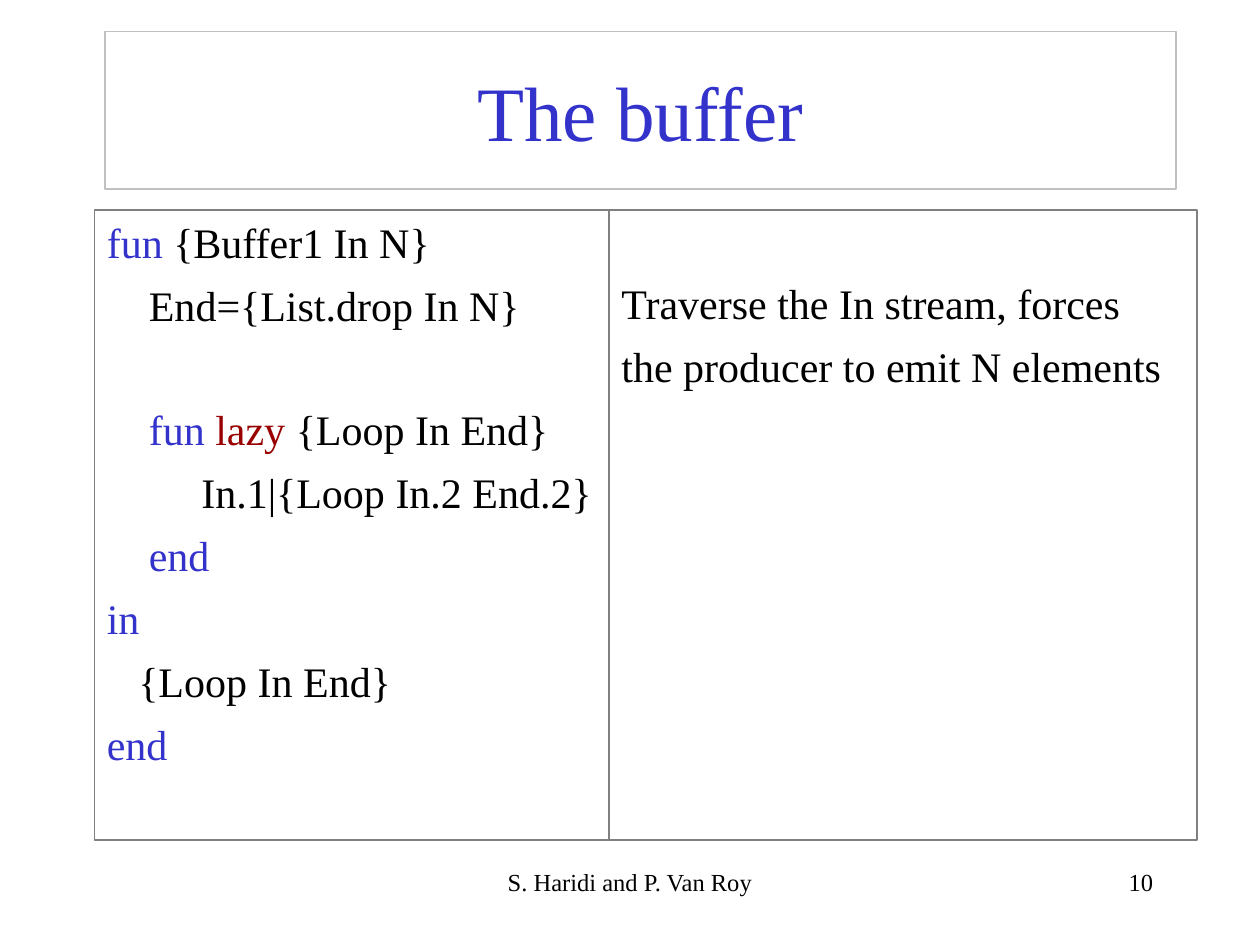
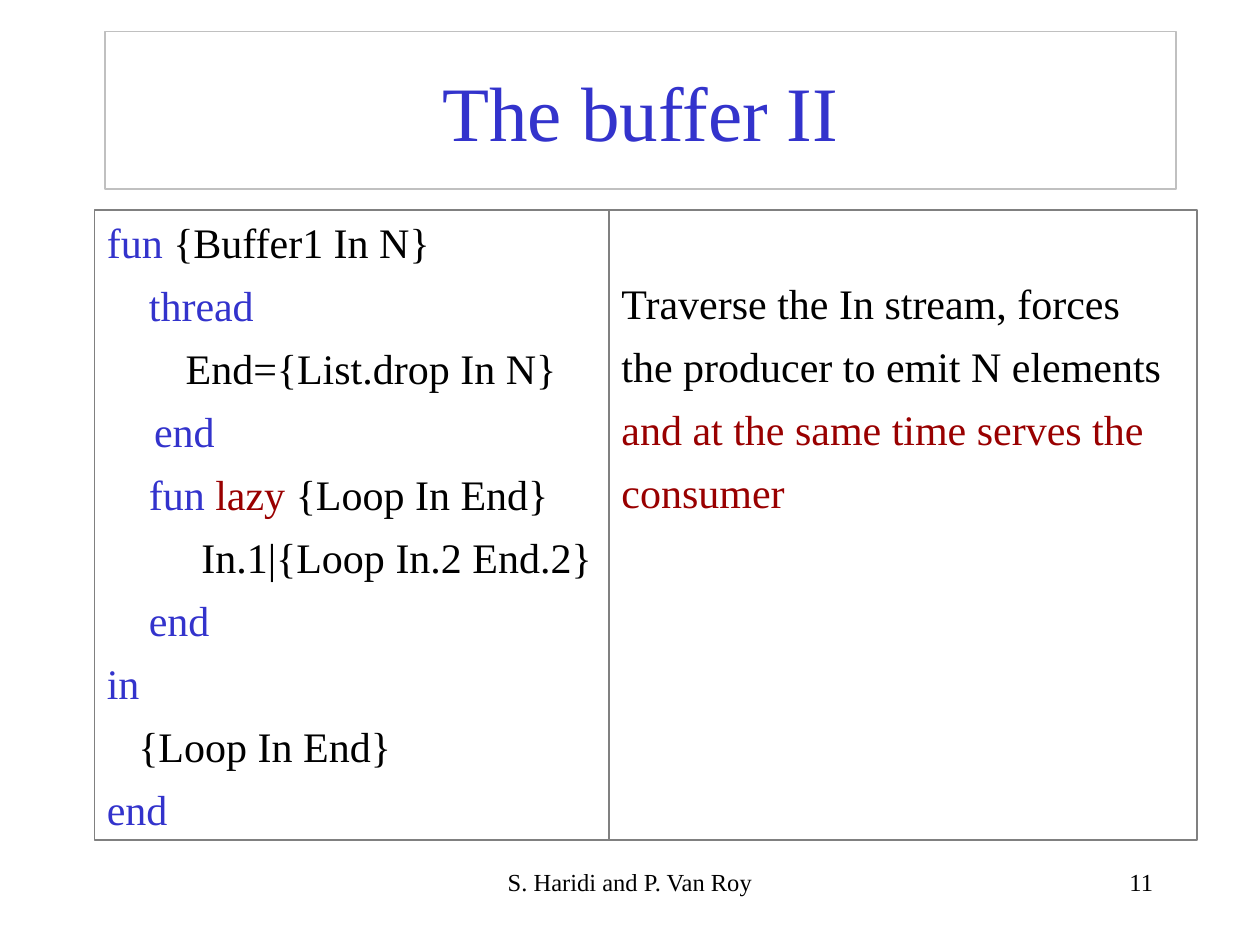
from itertools import groupby
from typing import NamedTuple

from pptx import Presentation
from pptx.dml.color import RGBColor
from pptx.enum.shapes import MSO_SHAPE as Form
from pptx.enum.text import MSO_ANCHOR as Anchor, PP_ALIGN as Align
from pptx.util import Inches, Pt

BLUE = RGBColor(0x33, 0x33, 0xCC)
RED = RGBColor(0x99, 0x00, 0x00)
BLACK = RGBColor(0x00, 0x00, 0x00)
GRAY = RGBColor(0x80, 0x80, 0x80)
SILVER = RGBColor(0xC0, 0xC0, 0xC0)

FONT = "Times New Roman"
WIDE, HIGH = Inches(10), Inches(7.5)
COLS, ROWS = 120, 90
CODE = 24
SPACE = CODE / 4
LEAD = 7.2
PITCH = 34.8
HUES = {"fun": BLUE, "thread": BLUE, "end": BLUE, "in": BLUE, "lazy": RED}


class Box(NamedTuple):
    col: int
    row: int
    cols: int
    rows: int

    def place(self) -> tuple[int, int, int, int]:
        return (WIDE * self.col // COLS, HIGH * self.row // ROWS,
                WIDE * self.cols // COLS, HIGH * self.rows // ROWS)


class Line(NamedTuple):
    text: str
    indent: float = 0
    skip: int = 0
    hue: RGBColor = BLACK


class Page(NamedTuple):
    title: str
    code: list[Line]
    notes: list[Line]
    number: int


HEAD = Box(10, 3, 102, 15)
LEFT = Box(9, 20, 49, 60)
RIGHT = Box(58, 20, 56, 60)
FOOT = Box(41, 82, 38, 6)
COUNT = Box(86, 82, 25, 6)

START = Line("fun {Buffer1 In N}")
DROP = "End={List.drop In N}"
LAZY = Line("fun lazy {Loop In End}", 4)
LOOP = [
    Line("In.1|{Loop In.2 End.2}", 9),
    Line("end", 4),
    Line("in"),
    Line("{Loop In End}", 3),
    Line("end"),
]
FORCE = [
    Line("Traverse the In stream, forces"),
    Line("the producer to emit N elements"),
]
SERVE = [
    Line("and at the same time serves the", hue=RED),
    Line("consumer", hue=RED),
]
PAGES = [
    Page("The buffer",
         [START, Line(DROP, 4), LAZY._replace(skip=1), *LOOP],
         FORCE, 10),
    Page("The buffer II",
         [START, Line("thread", 4), Line(DROP, 7.5), Line("end", 4.5),
          LAZY, *LOOP],
         FORCE + SERVE, 11),
]


def style(run, size: float, hue: RGBColor) -> None:
    run.font.name = FONT
    run.font.size = Pt(size)
    run.font.color.rgb = hue


def frame(shape, hue: RGBColor) -> None:
    shape.fill.background()
    shape.line.color.rgb = hue
    shape.line.width = Pt(0.75)


def label(shape, text: str, size: float, hue: RGBColor, align: Align) -> None:
    shape.text_frame.text = text
    shape.text_frame.word_wrap = True
    para = shape.text_frame.paragraphs[0]
    para.alignment = align
    style(para.runs[0], size, hue)


def head(slide, text: str) -> None:
    title = slide.shapes.title
    title.left, title.top, title.width, title.height = HEAD.place()
    frame(title, SILVER)
    label(title, text, 44, BLUE, Align.CENTER)
    title.text_frame.vertical_anchor = Anchor.MIDDLE


def write(para, line: Line) -> None:
    words = [word + " " for word in line.text.split()]
    words[-1] = words[-1].rstrip()
    for hue, group in groupby(words, lambda w: HUES.get(w.strip(), line.hue)):
        run = para.add_run()
        run.text = "".join(group)
        style(run, CODE, hue)


def panel(slide, box: Box, lines: list[Line], drop: int = 0) -> None:
    shape = slide.shapes.add_shape(Form.RECTANGLE, *box.place())
    shape.shadow.inherit = False
    frame(shape, GRAY)
    body = shape.text_frame
    body.word_wrap = True
    body.vertical_anchor = Anchor.TOP
    body.margin_top = Inches(0.05) + Pt(drop * PITCH)
    for index, line in enumerate(lines):
        para = body.add_paragraph() if index else body.paragraphs[0]
        para.alignment = Align.LEFT
        para.space_before = Pt(LEAD + line.skip * PITCH)
        para._p.get_or_add_pPr().set("marL", str(Pt(line.indent * SPACE)))
        write(para, line)


def foot(slide, box: Box, text: str, align: Align) -> None:
    label(slide.shapes.add_textbox(*box.place()), text, 14, BLACK, align)


def main() -> None:
    deck = Presentation()
    deck.slide_width, deck.slide_height = WIDE, HIGH
    for page in PAGES:
        slide = deck.slides.add_slide(deck.slide_layouts[5])
        head(slide, page.title)
        panel(slide, LEFT, page.code)
        panel(slide, RIGHT, page.notes, drop=1)
        foot(slide, FOOT, "S. Haridi and P. Van Roy", Align.CENTER)
        foot(slide, COUNT, str(page.number), Align.RIGHT)
    deck.save("out.pptx")


if __name__ == "__main__":
    main()
